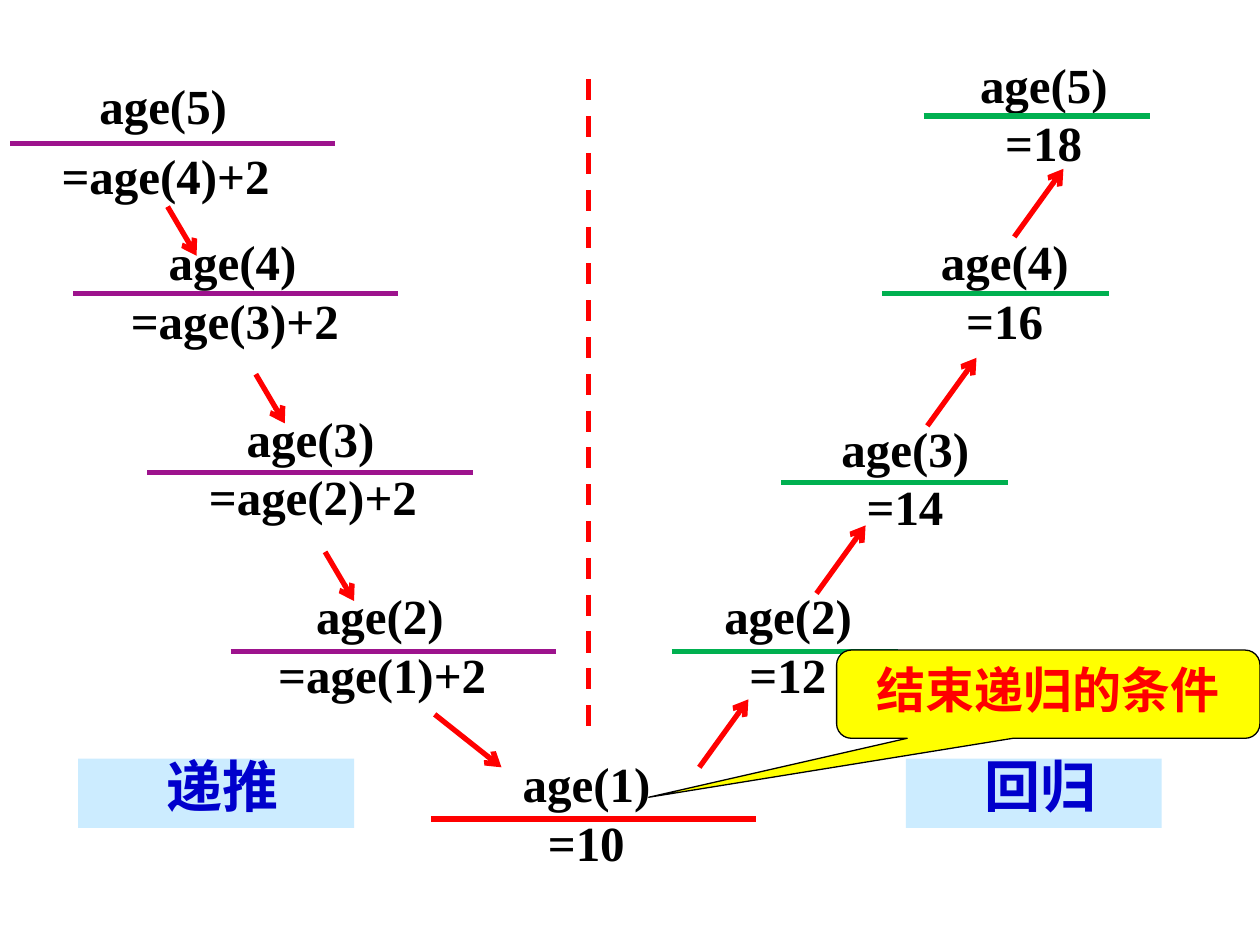
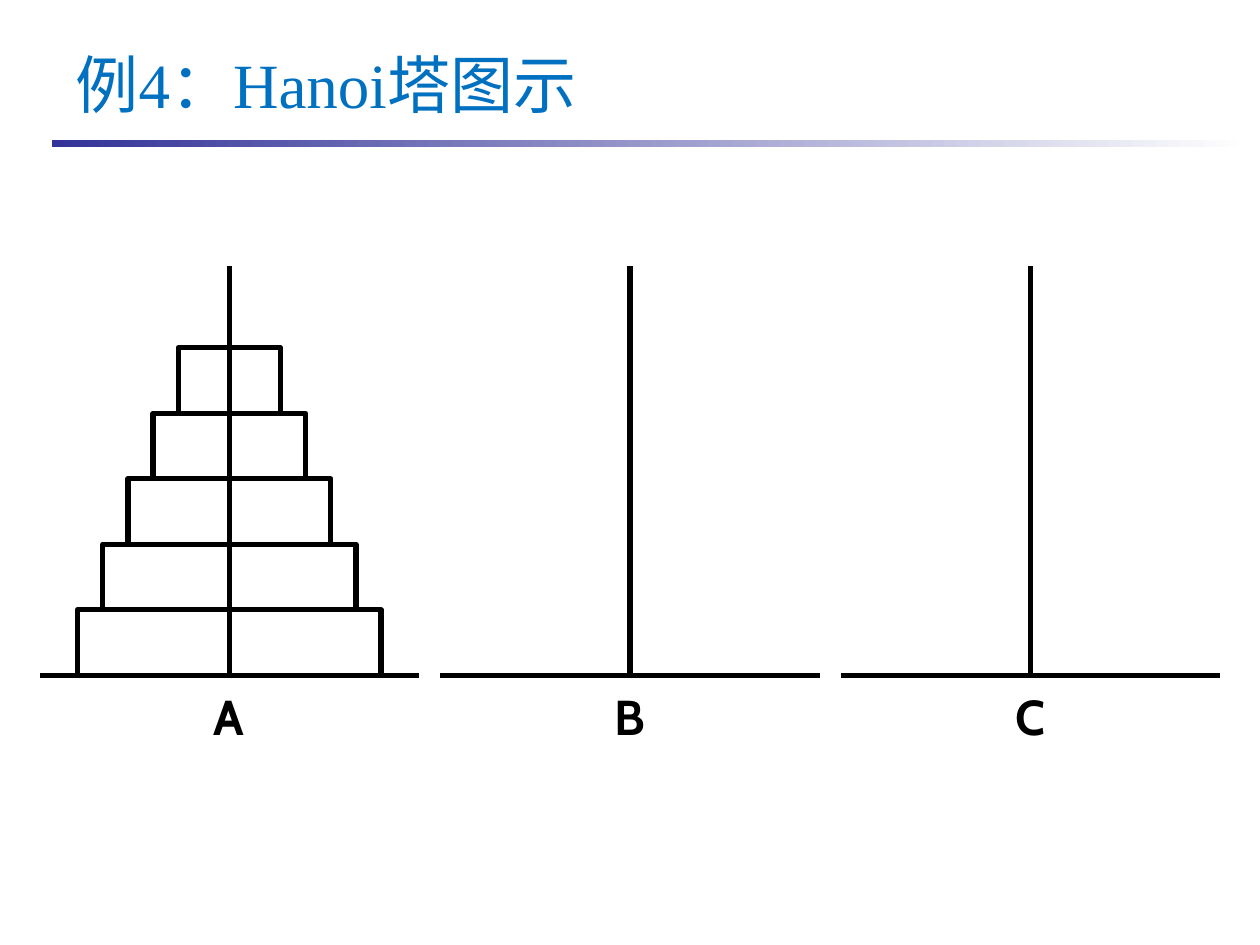
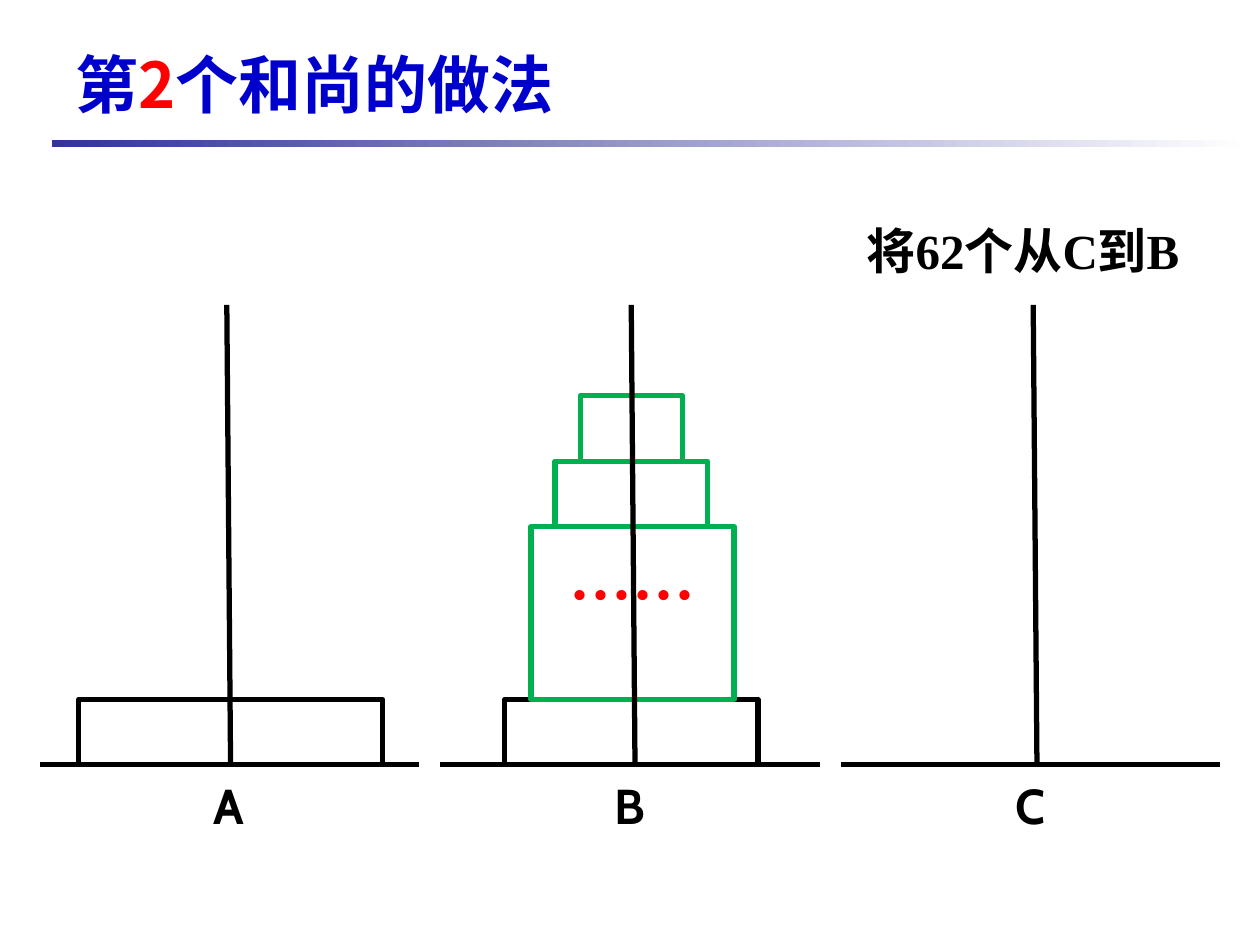
from dataclasses import dataclass
from typing import Optional

from lxml import etree
from pptx import Presentation
from pptx.dml.color import RGBColor
from pptx.enum.dml import MSO_LINE
from pptx.enum.shapes import MSO_CONNECTOR, MSO_SHAPE
from pptx.enum.text import MSO_ANCHOR, MSO_AUTO_SIZE, PP_ALIGN
from pptx.oxml.ns import qn
from pptx.util import Emu, Inches, Pt

STRAIGHT = MSO_CONNECTOR.STRAIGHT
RECTANGLE = MSO_SHAPE.RECTANGLE
PROCESS = MSO_SHAPE.FLOWCHART_PROCESS
CALLOUT = MSO_SHAPE.ROUNDED_RECTANGULAR_CALLOUT
LEFT, CENTER = PP_ALIGN.LEFT, PP_ALIGN.CENTER
TOP, MIDDLE = MSO_ANCHOR.TOP, MSO_ANCHOR.MIDDLE
BOTTOM_SIDE = 2

SLIDE_WIDTH, SLIDE_HEIGHT = Inches(10), Inches(7.5)
COLUMNS, ROWS = 10, 7.5
SERIF, HAN, SANS = "Times New Roman", "Noto Sans CJK SC", "Cabin"
COLORS = {
    "black": "000000", "white": "FFFFFF", "red": "FF0000", "green": "00B050",
    "purple": "9D138D", "blue": "0000CC", "sky": "0070C0", "pale": "CCECFF",
    "yellow": "FFFF00", "indigo": "333399",
}
LINE_WIDTH = 3
SPACE_WIDTH = 0.1

STAND_MIDDLE, STAND_STEP, BASE_WIDTH = 5, 3.18, 3.01
DISK_HEIGHT, WIDEST_DISK, DISK_STEP = 0.52, 2.41, 0.4


@dataclass(frozen=True)
class Box:
    left: float
    top: float
    width: float
    height: float


@dataclass(frozen=True)
class Style:
    size: float = 28
    color: str = "black"
    font: str = SERIF
    bold: bool = True


@dataclass(frozen=True)
class Step:
    """A call above its result, with a rule between; indents count spaces."""
    left: float
    top: float
    call: str
    result: str
    indents: tuple[int, int]
    rule_left: float
    rule_top: float
    rule_width: float
    color: str
    spacing: float = 0.8


@dataclass(frozen=True)
class Arrow:
    x: float
    y: float
    run: float
    rise: float


def unwinding(left: float, top: float, age: int, rule_left: float,
              rule_top: float, spacing: float = 0.8) -> Step:
    return Step(left, top, f"age({age})", f"=age({age - 1})+2", (3, 0),
                rule_left, rule_top, 2.58, "purple", spacing)


def returning(left: float, top: float, age: int, rule_left: float,
              rule_top: float) -> Step:
    return Step(left, top, f"age({age})", f"={8 + 2 * age}", (1, 3),
                rule_left, rule_top, 1.8, "green")


STEPS = [
    unwinding(0.39, 0.55, 5, 0.08, 1.14, 1.0),
    unwinding(0.94, 1.88, 4, 0.58, 2.33),
    unwinding(1.56, 3.28, 3, 1.17, 3.75),
    unwinding(2.11, 4.69, 2, 1.83, 5.17),
    Step(3.75, 6.02, "age(1)", "=10", (3, 5), 3.42, 6.5, 2.58, "red"),
    returning(5.55, 4.69, 2, 5.33, 5.17),
    returning(6.48, 3.36, 3, 6.2, 3.83),
    returning(7.27, 1.88, 4, 7, 2.33),
    returning(7.58, 0.47, 5, 7.33, 0.92),
]
ARROWS = [
    Arrow(1.33, 1.64, 0.23, 0.39), Arrow(2.03, 2.97, 0.23, 0.39),
    Arrow(2.58, 4.38, 0.23, 0.39), Arrow(3.45, 5.67, 0.53, 0.42),
    Arrow(5.55, 6.09, 0.39, -0.54), Arrow(6.48, 4.71, 0.39, -0.54),
    Arrow(7.36, 3.38, 0.39, -0.54), Arrow(8.05, 1.88, 0.39, -0.54),
]
PHASES = [("递推", Box(0.62, 6.02, 2.19, 0.55)), ("回归", Box(7.19, 6.02, 2.03, 0.55))]


def across(columns: float) -> Emu:
    return Emu(round(SLIDE_WIDTH * columns / COLUMNS))


def down(rows: float) -> Emu:
    return Emu(round(SLIDE_HEIGHT * rows / ROWS))


def frame(box: Box) -> tuple[Emu, Emu, Emu, Emu]:
    return across(box.left), down(box.top), across(box.width), down(box.height)


def rgb(color: str) -> RGBColor:
    return RGBColor.from_string(COLORS[color])


def format_run(run, style: Style) -> None:
    run.font.size = Pt(style.size)
    run.font.bold = style.bold
    run.font.name = style.font
    run.font.color.rgb = rgb(style.color)
    east_asian = etree.SubElement(run.font._element, qn("a:ea"))
    east_asian.set("typeface", HAN)


def format_text(shape, text: str, style: Style, align=CENTER, anchor=TOP,
                spacing=0.8) -> None:
    text_frame = shape.text_frame
    text_frame.word_wrap = True
    text_frame.vertical_anchor = anchor
    text_frame.text = text
    for paragraph in text_frame.paragraphs:
        paragraph.alignment = align
        paragraph.line_spacing = spacing
        for run in paragraph.runs:
            format_run(run, style)


def add_box(slide, kind, box: Box, fill: Optional[str] = None,
            line: Optional[str] = None, width: float = LINE_WIDTH):
    shape = slide.shapes.add_shape(kind, *frame(box))
    shape.shadow.inherit = False
    if fill:
        shape.fill.solid()
        shape.fill.fore_color.rgb = rgb(fill)
    else:
        shape.fill.background()
    if line:
        shape.line.color.rgb = rgb(line)
        shape.line.width = Pt(width)
    else:
        shape.line.fill.background()
    return shape


def add_line(slide, x1: float, y1: float, x2: float, y2: float,
             color: str = "black", arrow: bool = False):
    line = slide.shapes.add_connector(STRAIGHT, across(x1), down(y1), across(x2), down(y2))
    line.line.color.rgb = rgb(color)
    line.line.width = Pt(LINE_WIDTH)
    if arrow:
        etree.SubElement(line.line._get_or_add_ln(), qn("a:tailEnd")).set("type", "arrow")
    etree.SubElement(line._element.spPr, qn("a:effectLst"))
    return line


def add_text(slide, box: Box, text: str, style: Style, align=CENTER, spacing=Pt(24)):
    shape = slide.shapes.add_textbox(*frame(box))
    format_text(shape, text, style, align, spacing=spacing)
    return shape


def add_titled_slide(presentation, parts: list[tuple[str, Style]]):
    """Add a slide with a title of styled parts above a fading band."""
    slide = presentation.slides.add_slide(presentation.slide_layouts[5])
    band = add_box(slide, RECTANGLE, Box(0.41, 1.11, 9.51, 0.06))
    band.fill.gradient()
    band.fill.gradient_angle = 0
    for stop, color, position in zip(band.fill.gradient_stops, ("indigo", "white"), (0, 1)):
        stop.color.rgb = rgb(color)
        stop.position = position
    title = slide.shapes.title
    title.left, title.top, title.width, title.height = frame(Box(0.5, 0.33, 9.33, 0.67))
    title.text_frame.auto_size = MSO_AUTO_SIZE.NONE
    title.text_frame.vertical_anchor = MIDDLE
    paragraph = title.text_frame.paragraphs[0]
    paragraph.alignment = LEFT
    for text, style in parts:
        run = paragraph.add_run()
        run.text = text
        format_run(run, style)
    return slide


def add_step(slide, step: Step) -> None:
    width = 2.27 if step.color == "green" else 3.05
    shape = add_text(slide, Box(step.left, step.top, width, 1.25),
                     f"{step.call}\n{step.result}", Style(), LEFT, step.spacing)
    paragraphs = shape.text_frame.paragraphs
    for paragraph, spaces in zip(paragraphs, step.indents):
        properties = paragraph._p.get_or_add_pPr()
        properties.set("marL", str(across(spaces * SPACE_WIDTH)))
        properties.set("indent", "0")
    paragraphs[1].space_before = Pt(6.6)
    add_line(slide, step.rule_left, step.rule_top,
             step.rule_left + step.rule_width, step.rule_top, step.color)


def stand_center(index: int) -> float:
    return STAND_MIDDLE + (index - 1) * STAND_STEP


def add_stands(slide, floor: float) -> None:
    for index, name in enumerate("ABC"):
        center = stand_center(index)
        add_line(slide, center - BASE_WIDTH / 2, floor, center + BASE_WIDTH / 2, floor)
        add_text(slide, Box(center - 0.39, floor + 0.17, 0.77, 0.49), name, Style(font=SANS))


def add_disk(slide, center: float, bottom: float, rank: int, color: str = "black",
             height: float = DISK_HEIGHT):
    """Draw a disk; rank 0 is the widest."""
    width = WIDEST_DISK - rank * DISK_STEP
    return add_box(slide, PROCESS, Box(center - width / 2, bottom - height, width, height),
                   line=color)


def add_pole(slide, foot: float, floor: float, tip: float, top: float, disk=None) -> None:
    pole = add_line(slide, foot, floor, tip, top)
    if disk is not None:
        pole.begin_connect(disk, BOTTOM_SIDE)


def build_recursion(presentation) -> None:
    slide = presentation.slides.add_slide(presentation.slide_layouts[6])
    for step in STEPS:
        add_step(slide, step)
    divider = add_line(slide, 4.67, 0.63, 4.67, 5.86, "red")
    divider.line.dash_style = MSO_LINE.DASH
    for arrow in ARROWS:
        add_line(slide, arrow.x, arrow.y, arrow.x + arrow.run, arrow.y + arrow.rise,
                 "red", arrow=True)
    for text, box in PHASES:
        phase = add_box(slide, RECTANGLE, box, "pale")
        format_text(phase, text, Style(32, "blue", HAN))
        phase.text_frame.margin_left = across(2 * SPACE_WIDTH)
    callout = add_box(slide, CALLOUT, Box(6.64, 5.16, 3.36, 0.7), "yellow", "black", 0.75)
    for index, value in enumerate((-0.944, 1.169, 0.167)):
        callout.adjustments[index] = value
    format_text(callout, "结束递归的条件", Style(28, "red", HAN), anchor=MIDDLE)


def build_tower(presentation) -> None:
    slide = add_titled_slide(
        presentation, [("例4：Hanoi塔图示", Style(36, "sky", bold=False))])
    floor, top = 5.36, 2.11
    add_stands(slide, floor)
    disks = [add_disk(slide, stand_center(0), floor - rank * DISK_HEIGHT, rank)
             for rank in range(5)]
    for index, disk in enumerate((disks[0], None, None)):
        center = stand_center(index)
        add_pole(slide, center, floor, center, top, disk)


def build_second_monk(presentation) -> None:
    blue, red = Style(36, "blue", HAN), Style(36, "red", HAN)
    slide = add_titled_slide(presentation, [("第", blue), ("2", red), ("个和尚的做法", blue)])
    floor, top, lean = 6.07, 2.42, 0.03
    add_stands(slide, floor)
    first_disk = add_disk(slide, 1.83, floor, 0)
    center = 5.01
    add_disk(slide, center, floor, 1)
    stack_height = 1.37
    stack_bottom = floor - DISK_HEIGHT
    stack = add_disk(slide, center + 0.01, stack_bottom, 2, "green", stack_height)
    format_text(stack, "……", red)
    stack.text_frame.word_wrap = False
    stack.text_frame.margin_top = down(0.35)
    stack.text_frame.margin_bottom = down(0.12)
    for level, rank in enumerate((3, 4)):
        add_disk(slide, center, stack_bottom - stack_height - level * DISK_HEIGHT, rank, "green")
    note = add_text(slide, Box(6.48, 1.64, 3.28, 0.7), "将62个从C到B", Style())
    note.text_frame.margin_top = down(0.24)
    for foot, disk in ((1.83, first_disk), (5.04, None), (8.23, None)):
        add_pole(slide, foot, floor, foot - lean, top, disk)


def main() -> None:
    presentation = Presentation()
    presentation.slide_width, presentation.slide_height = SLIDE_WIDTH, SLIDE_HEIGHT
    build_recursion(presentation)
    build_tower(presentation)
    build_second_monk(presentation)
    presentation.save("out.pptx")


if __name__ == "__main__":
    main()
